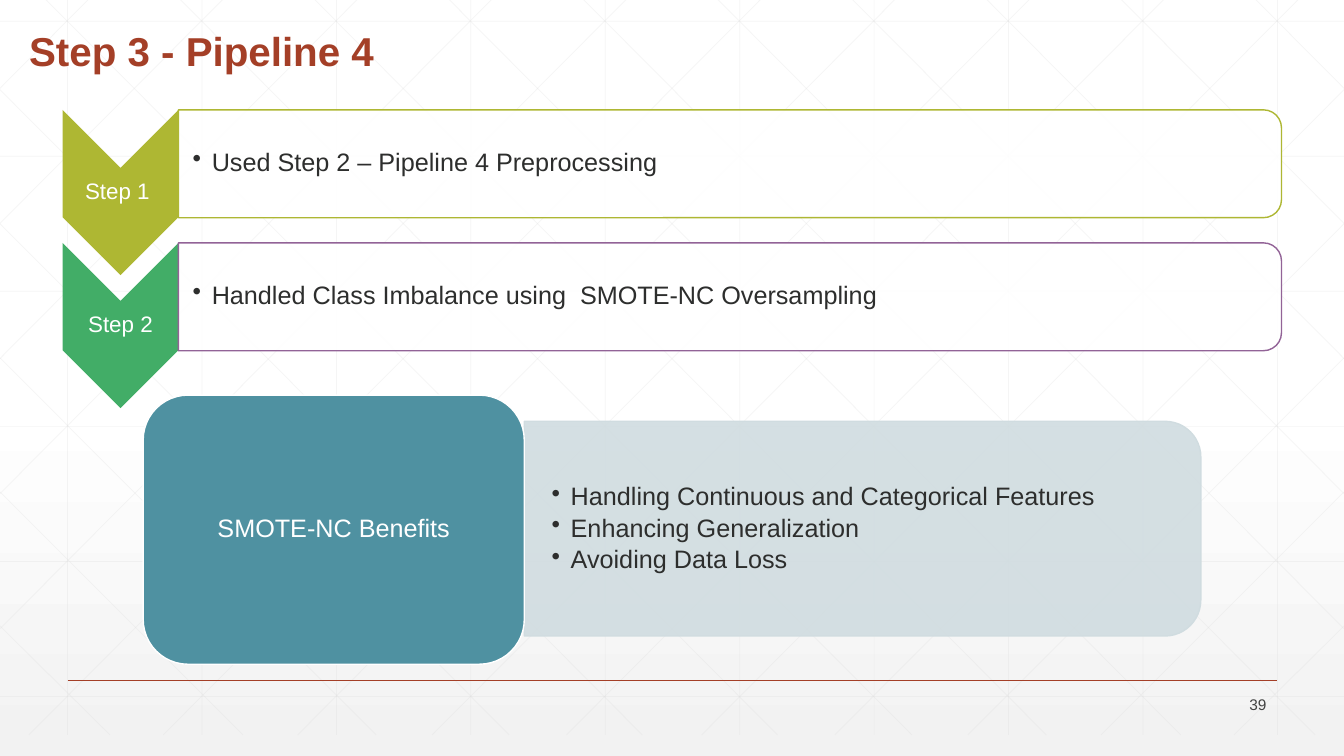
import dataclasses

import lxml.etree
import pptx
import pptx.dml.color
import pptx.enum.shapes
import pptx.enum.text
import pptx.oxml.ns
import pptx.util

Inches = pptx.util.Inches
Pt = pptx.util.Pt
RGB = pptx.dml.color.RGBColor.from_string
qn = pptx.oxml.ns.qn
SHAPE = pptx.enum.shapes.MSO_SHAPE
ALIGN = pptx.enum.text.PP_ALIGN
ANCHOR = pptx.enum.text.MSO_ANCHOR


@dataclasses.dataclass
class Theme:
    font: str = "Arial"
    white: str = "FFFFFF"
    shade: str = "F2F2F2"
    grid: str = "D9D9D9"
    accent: str = "A43F27"
    body: str = "2D2E2D"
    muted: str = "424342"
    olive: str = "AEB733"
    green: str = "42AD67"
    purple: str = "926397"
    teal: str = "4F91A1"
    pale: str = "D0DCE0"
    title_size: float = 28.8
    body_size: float = 18
    step_size: float = 16
    number_size: float = 11


class Deck:
    """Draws themed elements on the current slide."""

    def __init__(self, theme, width, height):
        self.theme = theme
        self.width = width
        self.prs = pptx.Presentation()
        self.prs.slide_width = Inches(width)
        self.prs.slide_height = Inches(height)
        self.s = self.prs.slides.add_slide(self.prs.slide_layouts[6])

    def background(self):
        fill = self.s.background.fill
        fill.gradient()
        fill.gradient_angle = 270
        stops = ((0.53, self.theme.white), (1, self.theme.shade))
        for stop, (position, color) in zip(fill.gradient_stops, stops):
            stop.position = position
            stop.color.rgb = RGB(color)

    def fade(self, sp, percent):
        for color in sp.element.spPr.iter(qn("a:srgbClr")):
            lxml.etree.SubElement(color, qn("a:alpha"), val=str(percent * 1000))

    def line(self, x1, y1, x2, y2, color, weight, opacity=None):
        sp = self.s.shapes.add_connector(
            pptx.enum.shapes.MSO_CONNECTOR.STRAIGHT,
            Inches(x1), Inches(y1), Inches(x2), Inches(y2))
        sp.line.color.rgb = RGB(color)
        sp.line.width = Pt(weight)
        if opacity:
            self.fade(sp, opacity)
        lxml.etree.SubElement(sp.element.spPr, qn("a:effectLst"))

    def grid_line(self, x1, y1, x2, y2):
        self.line(x1, y1, x2, y2, self.theme.grid, 0.5, 25)

    def grid(self):
        top, bottom, pitch = -0.21, 7.29, 4 / 3
        for i in range(10):
            x = 0.67 + pitch * i
            self.grid_line(x, top, x, bottom)
        for i in range(6):
            y = 0.21 + 1.34 * i
            self.grid_line(0, y, self.width, y)
        diagonals = []
        for i in range(10):
            x = 0.25 + pitch * i
            run = min(7.46, self.width - x)
            diagonals.append((x, top, x + run, top + run * 7.5 / 7.46))
        for i in range(5):
            diagonals.append((6.37 - 1.32 * i, bottom, 0, 0.89 + 1.33 * i))
        for x1, y1, x2, y2 in diagonals:
            self.grid_line(x1, y1, x2, y2)
            self.grid_line(self.width - x1, y1, self.width - x2, y2)

    def shape(self, kind, x, y, w, h, fill, line=None, opacity=None, turned=False):
        if turned:
            x, y, w, h = x + (w - h) / 2, y + (h - w) / 2, h, w
        sp = self.s.shapes.add_shape(kind, Inches(x), Inches(y), Inches(w), Inches(h))
        sp.shadow.inherit = False
        sp.rotation = 90 if turned else 0
        sp.fill.solid()
        sp.fill.fore_color.rgb = RGB(fill)
        if opacity:
            self.fade(sp, opacity)
        if line:
            sp.line.color.rgb = RGB(line)
            sp.line.width = Pt(1)
        else:
            sp.line.fill.background()

    def text(self, x, y, w, h, lines, size, color, align=ALIGN.LEFT,
             anchor=ANCHOR.MIDDLE, inset=(0.1, 0.05), bold=False, bullet=False):
        tf = self.s.shapes.add_textbox(
            Inches(x), Inches(y), Inches(w), Inches(h)).text_frame
        tf.word_wrap = True
        tf.vertical_anchor = anchor
        tf.margin_left = tf.margin_right = Inches(inset[0])
        tf.margin_top = tf.margin_bottom = Inches(inset[1])
        for i, line in enumerate(lines):
            p = tf.add_paragraph() if i else tf.paragraphs[0]
            p.alignment = align
            p.line_spacing = 0.9
            if bullet:
                p.space_after = Pt(3)
                pPr = p._p.get_or_add_pPr()
                pPr.set("marL", str(Inches(0.19)))
                pPr.set("indent", str(Inches(-0.19)))
                lxml.etree.SubElement(pPr, qn("a:buChar"), char="•")
            r = p.add_run()
            r.text = line
            r.font.name = self.theme.font
            r.font.size = Pt(size)
            r.font.bold = bold
            r.font.color.rgb = RGB(color)

    def step(self, y, label, detail, fill, outline):
        t = self.theme
        self.shape(SHAPE.CHEVRON, 0.62, y, 1.15, 1.64, fill, turned=True)
        self.text(0.62, y + 0.57, 1.15, 0.49, [label], t.step_size, t.white,
                  ALIGN.CENTER, inset=(0.05, 0.03))
        self.shape(SHAPE.ROUND_2_SAME_RECTANGLE, 1.77, y, 10.94, 1.07, t.white,
                   outline, 90, turned=True)
        self.text(1.77, y + 0.05, 10.89, 0.96, [detail], t.body_size, t.body,
                  inset=(0.14, 0.01), bullet=True)

    def benefits(self, label, points):
        t = self.theme
        self.shape(SHAPE.ROUND_2_SAME_RECTANGLE, 5.2, 4.18, 6.71, 2.13, t.pale,
                   t.pale, 90, turned=True)
        self.text(5.2, 4.29, 6.61, 1.92, points, t.body_size, t.body,
                  inset=(0.27, 0.14), bullet=True)
        self.shape(SHAPE.ROUNDED_RECTANGLE, 1.42, 3.92, 3.78, 2.67, t.teal, t.white)
        self.text(1.55, 4.05, 3.52, 2.41, [label], t.body_size, t.white,
                  ALIGN.CENTER, inset=(0.07, 0.04))


def main():
    t = Theme()
    deck = Deck(t, 13.33, 7.5)
    deck.background()
    deck.grid()
    deck.line(0.67, 6.75, 12.67, 6.75, t.accent, 1)
    deck.text(0.19, 0.19, 10.5, 0.61, ["Step 3 - Pipeline 4"], t.title_size,
              t.accent, anchor=ANCHOR.BOTTOM, bold=True)
    steps = (
        ("Step 1 ", "Used Step 2 – Pipeline 4 Preprocessing", t.olive, t.olive),
        ("Step 2", "Handled Class Imbalance using  SMOTE-NC Oversampling",
         t.green, t.purple),
    )
    for i, step in enumerate(steps):
        deck.step(1.09 + 1.32 * i, *step)
    deck.text(11.66, 6.88, 1, 0.24, ["39"], t.number_size, t.muted, ALIGN.RIGHT)
    deck.benefits("SMOTE-NC Benefits", [
        "Handling Continuous and Categorical Features",
        "Enhancing Generalization",
        "Avoiding Data Loss",
    ])
    deck.prs.save("out.pptx")


if __name__ == "__main__":
    main()
